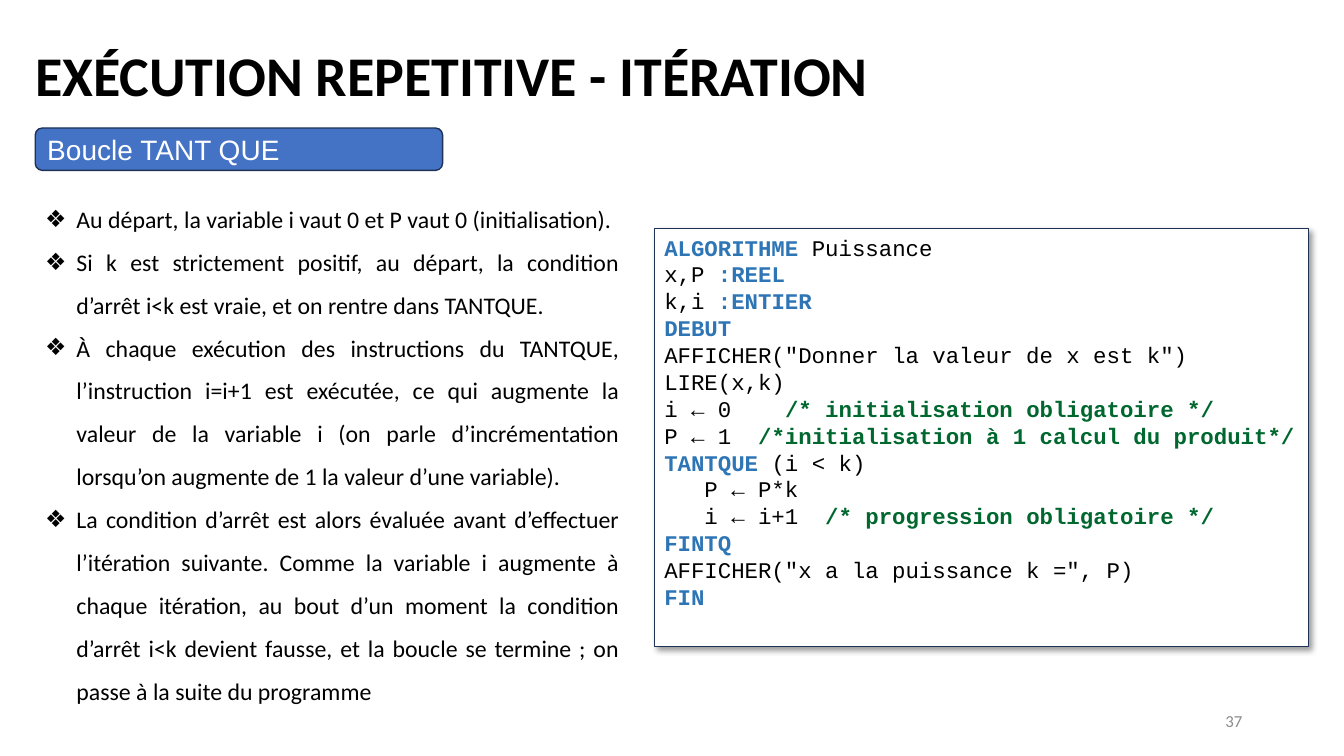
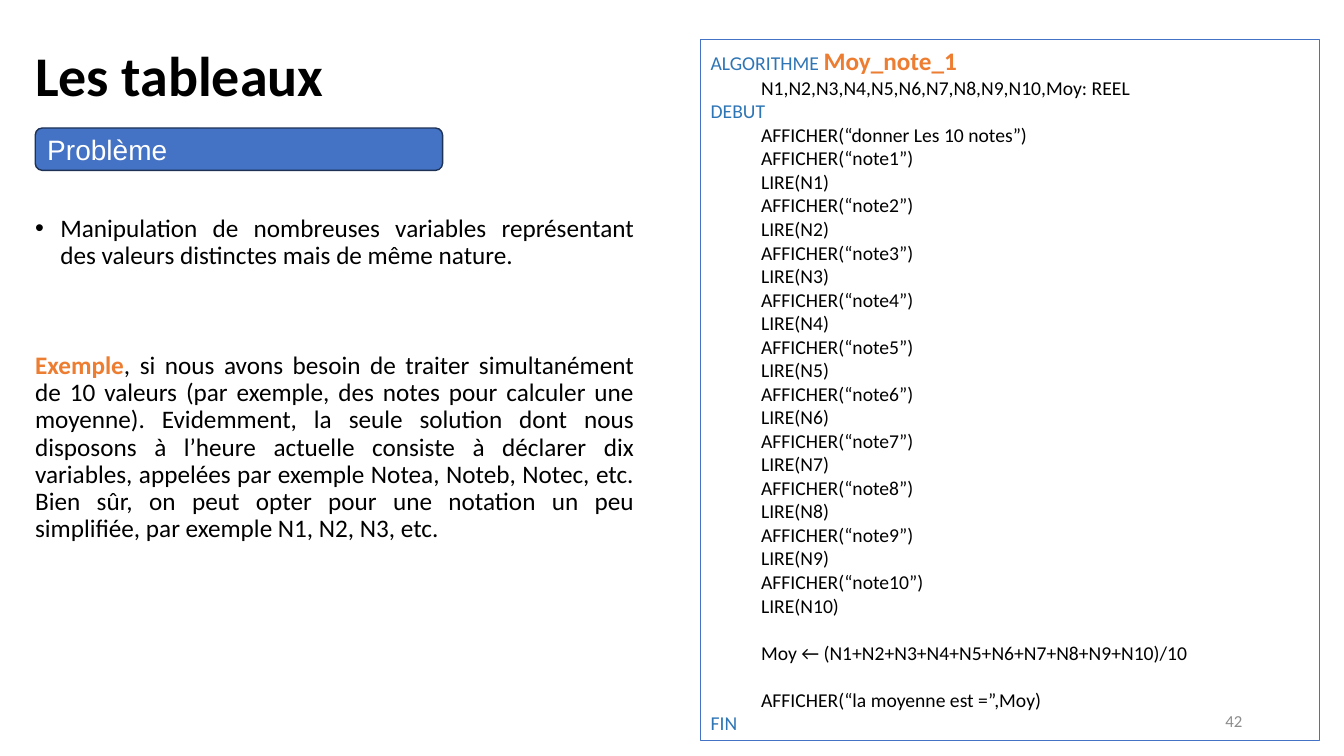
from lxml import etree
from pptx import Presentation
from pptx.dml.color import RGBColor
from pptx.enum.shapes import MSO_SHAPE
from pptx.enum.text import MSO_ANCHOR, PP_ALIGN
from pptx.oxml.ns import qn
from pptx.util import Inches, Pt

RECT, ROUND = MSO_SHAPE.RECTANGLE, MSO_SHAPE.ROUNDED_RECTANGLE
TOP, MIDDLE = MSO_ANCHOR.TOP, MSO_ANCHOR.MIDDLE
LEFT, RIGHT, JUSTIFY = PP_ALIGN.LEFT, PP_ALIGN.RIGHT, PP_ALIGN.JUSTIFY
BLACK, WHITE, GREY = "000000", "FFFFFF", "8C8C8C"
BLUE, NAVY, WORD = "4472C4", "1E3256", "2E75B6"
GREEN, ORANGE = "00682F", "ED7D31"


def add_box(slide, place, kind=None, fill=None, edge=None, width=1, anchor=TOP):
    """Add a text box, or a shape if kind is given; return the shape."""
    place = [Inches(n) for n in place]
    if kind is None:
        box = slide.shapes.add_textbox(*place)
    else:
        box = slide.shapes.add_shape(kind, *place)
        box.shadow.inherit = False
        if fill:
            box.fill.solid()
            box.fill.fore_color.rgb = RGBColor.from_string(fill)
        else:
            box.fill.background()
        box.line.color.rgb = RGBColor.from_string(edge)
        box.line.width = Pt(width)
    box.text_frame.word_wrap = True
    box.text_frame.vertical_anchor = anchor
    return box


def add_text(box, runs, size, font="Calibri", color=BLACK, bold=False, align=LEFT,
             space=1, before=0, indent=0, bullet=None):
    """Append a paragraph; a run is (text, dict of what differs)."""
    frame = box.text_frame
    para = frame.paragraphs[0]
    if para.runs:
        para = frame.add_paragraph()
    para.alignment, para.line_spacing = align, space
    if before:
        para.space_before = Pt(before)
    props = para._p.get_or_add_pPr()
    props.set("marL", str(Inches(indent)))
    props.set("indent", str(-Inches(indent) if bullet else 0))
    if bullet:
        etree.SubElement(props, qn("a:buFont")).set("typeface", "Arial")
        etree.SubElement(props, qn("a:buChar")).set("char", bullet)
    para.font.name, para.font.size, para.font.bold = font, Pt(size), bold
    para.font.color.rgb = RGBColor.from_string(color)
    for text, diff in [(runs, {})] if isinstance(runs, str) else runs:
        run = para.add_run()
        run.text = text
        if "color" in diff:
            run.font.color.rgb = RGBColor.from_string(diff["color"])
        if "bold" in diff:
            run.font.bold = diff["bold"]
        if "size" in diff:
            run.font.size = Pt(diff["size"])


deck = Presentation()
deck.slide_width, deck.slide_height = Inches(13.33), Inches(7.5)
slides = []
for title, topic, page in [
    ("EXÉCUTION REPETITIVE - ITÉRATION", "Boucle TANT QUE", "37"),
    ("Les tableaux", "Problème", "42"),
]:
    slide = deck.slides.add_slide(deck.slide_layouts[6])
    add_text(add_box(slide, (0.25, 0.35, 11.5, 0.77)), title, 40, bold=True)
    band = add_box(slide, (0.35, 1.27, 4.04, 0.42), ROUND, BLUE, NAVY, anchor=MIDDLE)
    add_text(band, topic, 20, "Arial", WHITE)
    foot = add_box(slide, (9.42, 6.95, 3, 0.4), anchor=MIDDLE)
    add_text(foot, page, 12, color=GREY, align=RIGHT)
    slides.append(slide)
loop, table = slides

# The TANTQUE loop
steps = add_box(loop, (0.35, 1.84, 5.89, 5.21))
for step in [
    "Au départ, la variable i vaut 0 et P vaut 0 (initialisation).",
    "Si k est strictement positif, au départ, la condition d’arrêt i<k est vraie, "
    "et on rentre dans TANTQUE.",
    "À chaque exécution des instructions du TANTQUE, l’instruction i=i+1 est exécutée, "
    "ce qui augmente la valeur de la variable i (on parle d’incrémentation "
    "lorsqu’on augmente de 1 la valeur d’une variable).",
    "La condition d’arrêt est alors évaluée avant d’effectuer l’itération suivante. "
    "Comme la variable i augmente à chaque itération, au bout d’un moment la condition "
    "d’arrêt i<k devient fausse, et la boucle se termine ; on passe à la suite du programme",
]:
    add_text(steps, step, 17, align=JUSTIFY, space=1.5, indent=0.31, bullet="❖")

code = add_box(loop, (6.49, 2.27, 6.49, 4.14), RECT, WHITE, NAVY, 0.75)
glow = code._element.spPr.find(qn("a:effectLst"))
shade = etree.SubElement(glow, qn("a:outerShdw"), blurRad=str(Pt(4)), dist=str(Pt(3)),
                         dir="2700000", algn="tl", rotWithShape="0")
tint = etree.SubElement(shade, qn("a:srgbClr"), val=BLACK)
etree.SubElement(tint, qn("a:alpha"), val="40000")

key = {"color": WORD, "bold": True}
note = {"color": GREEN, "bold": True}
for line in [
    [("ALGORITHME", key), (" Puissance", {})],
    [("x,P ", {}), (":REEL", key)],
    [("k,i ", {}), (":ENTIER", key)],
    [("DEBUT", key)],
    'AFFICHER("Donner la valeur de x est k")',
    "LIRE(x,k)",
    [("i ← 0    ", {}), ("/* initialisation obligatoire */", note)],
    [("P ← 1  ", {}), ("/*initialisation à 1 calcul du produit*/", note)],
    [("TANTQUE", key), (" (i < k)", {})],
    "   P ← P*k",
    [("   i ← i+1  ", {}), ("/* progression obligatoire */", note)],
    [("FINTQ", key)],
    'AFFICHER("x a la puissance k =", P)',
    [("FIN", key)],
]:
    add_text(code, line, 16, "Courier New")

# Ten marks without an array
need = add_box(table, (0.25, 2.09, 6.14, 4.65))
add_text(need, "Manipulation de nombreuses variables représentant des valeurs distinctes "
         "mais de même nature.", 18, align=JUSTIFY, space=0.9, indent=0.25, bullet="•")
add_text(need, [
    ("Exemple", {"color": ORANGE, "bold": True}),
    (", si nous avons besoin de traiter simultanément de 10 valeurs (par exemple, des notes "
     "pour calculer une moyenne). Evidemment, la seule solution dont nous disposons à l’heure "
     "actuelle consiste à déclarer dix variables, appelées par exemple Notea, Noteb, Notec, "
     "etc. Bien sûr, on peut opter pour une notation un peu simplifiée, par exemple "
     "N1, N2, N3, etc.", {}),
], 18, align=JUSTIFY, space=0.9, before=59)

marks = add_box(table, (6.95, 0.39, 6.14, 6.96), RECT, edge=BLUE, width=0.75, anchor=MIDDLE)
names = [f"N{n}" for n in range(1, 11)]
add_text(marks, [("ALGORITHME ", {}),
                 ("Moy_note_1", {"color": ORANGE, "bold": True, "size": 18})], 14, color=WORD)
add_text(marks, ",".join(names) + ",Moy: REEL", 14, indent=0.5)
add_text(marks, "DEBUT", 14, color=WORD)
add_text(marks, "AFFICHER(“donner Les 10 notes”)", 14, indent=0.5)
for n, name in enumerate(names, 1):
    add_text(marks, f"AFFICHER(“note{n}”)", 14, indent=0.5)
    add_text(marks, f"LIRE({name})", 14, indent=0.5)
for line in [f"Moy ← ({'+'.join(names)})/10", "AFFICHER(“la moyenne est =”,Moy)"]:
    add_text(marks, line, 14, indent=0.5, before=16.8)
add_text(marks, "FIN", 14, color=WORD)

deck.save("out.pptx")
